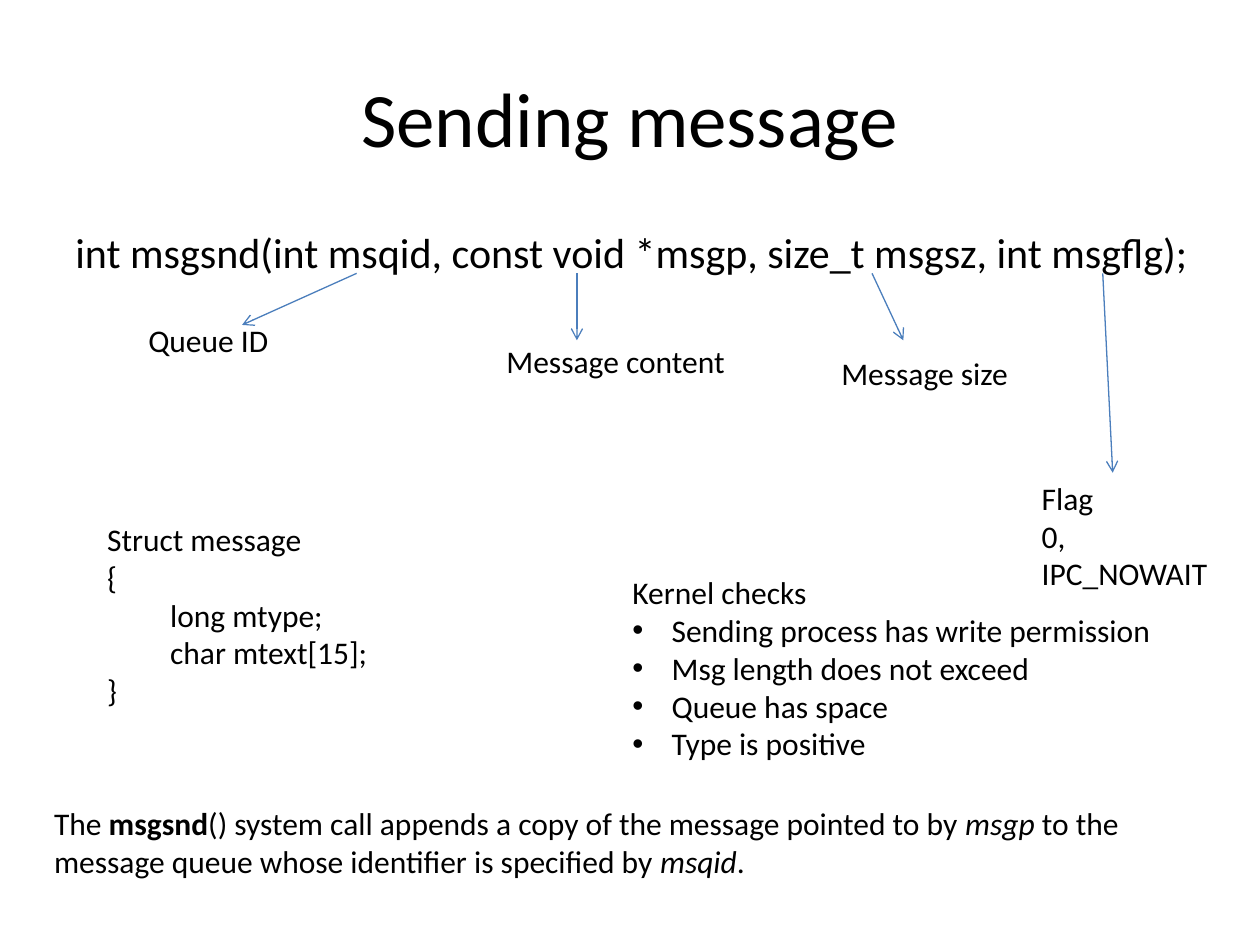
from dataclasses import dataclass

from lxml.etree import SubElement
from pptx import Presentation
from pptx.dml.color import RGBColor
from pptx.enum.shapes import MSO_CONNECTOR
from pptx.enum.text import MSO_ANCHOR, PP_ALIGN
from pptx.oxml.ns import qn
from pptx.slide import Slide
from pptx.text.text import TextFrame, _Paragraph, _Run
from pptx.util import Cm, Pt

FONT = "Calibri"
INK = "000000"
ARROW_BLUE = "4B7EBC"
ARROW_TOP = 5.51
INDENT = 0.79


@dataclass(frozen=True)
class Block:
    text: str
    left: float
    top: float
    width: float
    height: float
    size: float = 18
    wrap: bool = True


@dataclass(frozen=True)
class Argument:
    start_x: float
    end_x: float
    end_y: float
    label: Block


@dataclass(frozen=True)
class Phrase:
    text: str
    bold: bool = False
    italic: bool = False


TITLE = Block("Sending message", 1.27, 0.76, 22.86, 3.18, 44)
PROTOTYPE = Block(
    "int msgsnd(int msqid, const void *msgp, size_t msgsz, int msgflg);",
    1.27, 4.45, 23.7, 12.57, 24,
)
ARGUMENTS = [
    Argument(7.19, 4.88, 6.55, Block("Queue ID", 2.74, 6.35, 3.38, 1.02)),
    Argument(11.63, 11.63, 6.86, Block("Message content", 9.96, 6.78, 5.92, 1.02)),
    Argument(17.58, 18.21, 6.86, Block("Message size", 16.71, 7.01, 4.45, 1.02)),
    Argument(22.23, 22.43, 9.53, Block("Flag\n0,\nIPC_NOWAIT", 20.75, 9.53, 4.45, 2.57)),
]
STRUCT = Block(
    "Struct message\n{\n\tlong mtype;\n\tchar mtext[15];\n}",
    1.91, 10.36, 10.16, 4.11,
)
SUMMARY = Block("", 0.84, 16.08, 22.12, 1.8)
SUMMARY_PHRASES = [
    Phrase("The "),
    Phrase("msgsnd", bold=True),
    Phrase("() system call appends a copy of the message pointed to by "),
    Phrase("msgp", italic=True),
    Phrase(" to the message queue whose identifier is specified by "),
    Phrase("msqid", italic=True),
    Phrase("."),
]
KERNEL_CHECKS = Block(
    "Kernel checks\nSending process has write permission\n"
    "Msg length does not exceed\nQueue has space\nType is positive",
    12.5, 11.43, 11.07, 4.11, wrap=False,
)


def color(value: str) -> RGBColor:
    return RGBColor.from_string(value)


def style_run(run: _Run, size: float) -> None:
    run.font.name = FONT
    run.font.size = Pt(size)
    run.font.color.rgb = color(INK)


def add_block(slide: Slide, block: Block) -> TextFrame:
    frame = slide.shapes.add_textbox(
        Cm(block.left), Cm(block.top), Cm(block.width), Cm(block.height)
    ).text_frame
    frame.word_wrap = block.wrap
    frame.text = block.text
    for paragraph in frame.paragraphs:
        for run in paragraph.runs:
            style_run(run, block.size)
    return frame


def add_argument(slide: Slide, argument: Argument) -> None:
    arrow = slide.shapes.add_connector(
        MSO_CONNECTOR.STRAIGHT,
        Cm(argument.start_x), Cm(ARROW_TOP), Cm(argument.end_x), Cm(argument.end_y),
    )
    arrow.line.color.rgb = color(ARROW_BLUE)
    arrow.line.width = Pt(0.75)
    SubElement(arrow.line._get_or_add_ln(), qn("a:tailEnd"), type="arrow")
    SubElement(arrow._element.spPr, qn("a:effectLst"))
    add_block(slide, argument.label)


def add_bullet(paragraph: _Paragraph) -> None:
    properties = paragraph._p.get_or_add_pPr()
    properties.set("marL", str(Cm(INDENT)))
    properties.set("indent", str(-Cm(INDENT)))
    SubElement(properties, qn("a:buFont"), typeface="Arial")
    SubElement(properties, qn("a:buChar"), char="•")


def add_phrase(paragraph: _Paragraph, phrase: Phrase, size: float) -> None:
    run = paragraph.add_run()
    run.text = phrase.text
    style_run(run, size)
    run.font.bold = phrase.bold
    run.font.italic = phrase.italic


def main() -> None:
    """Build the slide that explains the msgsnd system call."""
    presentation = Presentation()
    presentation.slide_width, presentation.slide_height = Cm(25.4), Cm(19.05)
    slide = presentation.slides.add_slide(presentation.slide_layouts[6])

    title = add_block(slide, TITLE)
    title.vertical_anchor = MSO_ANCHOR.MIDDLE
    title.paragraphs[0].alignment = PP_ALIGN.CENTER
    add_block(slide, PROTOTYPE)
    for argument in ARGUMENTS:
        add_argument(slide, argument)
    add_block(slide, STRUCT)

    summary = add_block(slide, SUMMARY)
    for phrase in SUMMARY_PHRASES:
        add_phrase(summary.paragraphs[0], phrase, SUMMARY.size)

    kernel_checks = add_block(slide, KERNEL_CHECKS)
    for check in kernel_checks.paragraphs[1:]:
        add_bullet(check)

    presentation.save("out.pptx")


if __name__ == "__main__":
    main()
